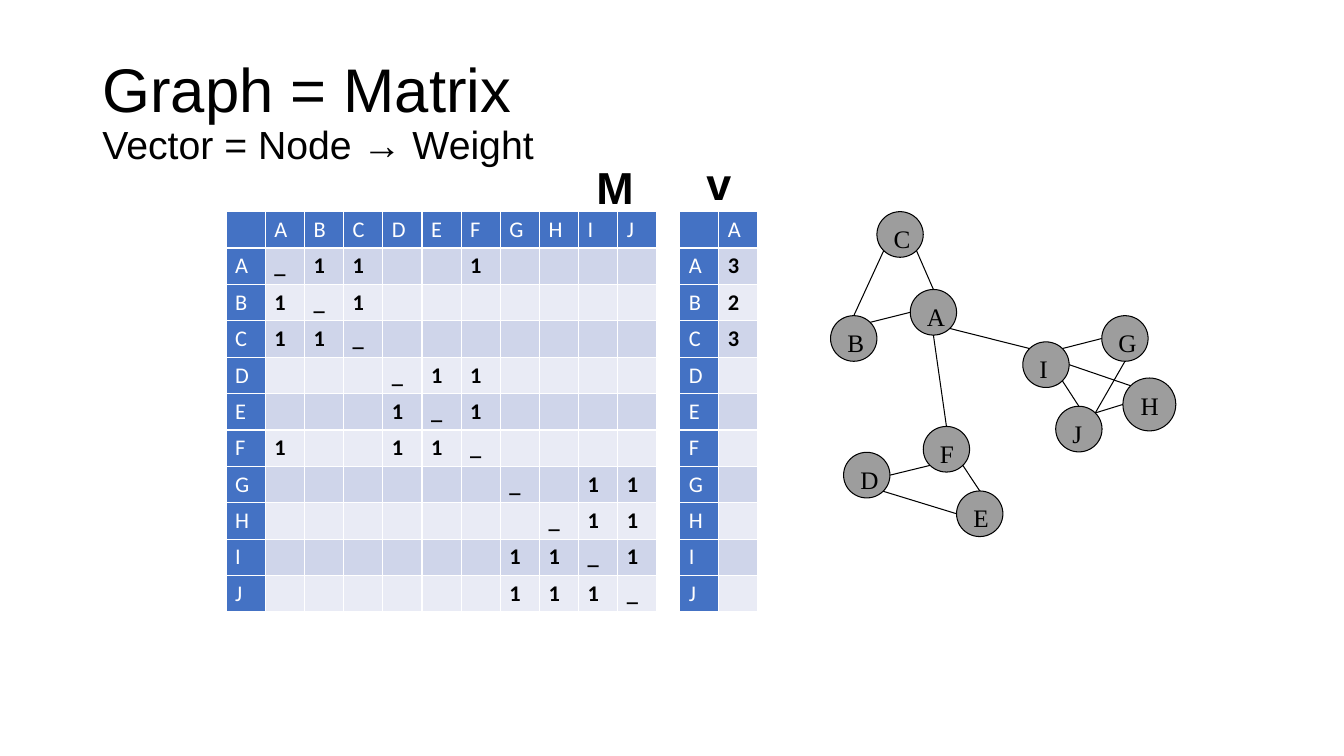
"""Build a slide showing a graph, its adjacency matrix and a node weight vector."""
from math import cos, pi, sin

from lxml.etree import SubElement
from pptx import Presentation
from pptx.dml.color import RGBColor
from pptx.enum.shapes import MSO_CONNECTOR, MSO_SHAPE
from pptx.enum.text import MSO_ANCHOR, MSO_AUTO_SIZE, PP_ALIGN
from pptx.oxml.ns import qn
from pptx.util import Pt

BLACK = RGBColor(0x00, 0x00, 0x00)
WHITE = RGBColor(0xFF, 0xFF, 0xFF)
HEADER_BLUE = RGBColor(0x44, 0x72, 0xC4)
BAND_DARK = RGBColor(0xCF, 0xD5, 0xEA)
BAND_LIGHT = RGBColor(0xE9, 0xEB, 0xF5)
NODE_GREY = RGBColor(0x9D, 0x9D, 0x9D)

NODES = "ABCDEFGHIJ"
MATRIX_ROWS = [
    "_11  1    ",
    "1_1       ",
    "11_       ",
    "   _11    ",
    "   1_1    ",
    "1  11_    ",
    "      _ 11",
    "       _11",
    "      11_1",
    "      111_",
]
VECTOR_ROWS = ["3", "2", "3"] + [" "] * 7
COLUMN_WIDTH, ROW_HEIGHT, TABLE_TOP = 28, 26, 151.2
CELL_FORMAT = {"margin_left": Pt(6.5), "margin_right": Pt(6.5),
               "margin_top": Pt(3.2), "margin_bottom": Pt(3.2)}

NODE_BOXES = {
    "A": (650.2, 206.8, 33.1, 32.6),
    "B": (593.3, 225.5, 33.1, 32.6),
    "C": (626.4, 151.2, 33.1, 32.6),
    "D": (602.6, 323.1, 33.1, 32.6),
    "E": (683.3, 350.7, 33.1, 32.6),
    "F": (659.5, 304.6, 33.1, 32.6),
    "G": (787, 225.5, 33.1, 32.6),
    "H": (802.1, 270, 37.8, 37.8),
    "I": (730.6, 244.2, 33.1, 32.6),
    "J": (754.1, 290.2, 33.1, 32.6),
}
COMPASS = ["E", "SE", "S", "SW", "W", "NW", "N", "NE"]
EDGES = [
    ("B", "N", "C", "SW"), ("A", "W", "B", "NE"), ("A", "SE", "I", "NW"),
    ("I", "E", "H", "NW"), ("G", "W", "I", "NE"), ("J", "N", "I", "SE"),
    ("D", "E", "F", "SW"), ("F", "SE", "E", "N"), ("A", "S", "F", "N"),
    ("J", "NE", "H", "W"), ("C", "SE", "A", "N"), ("D", "SE", "E", "W"),
    ("G", "S", "J", "NE"),
]


def add_text(paragraph, text, color, name, size, bold=False):
    run = paragraph.add_run()
    run.text = text
    for key, value in {"name": name, "size": Pt(size), "bold": bold}.items():
        setattr(run.font, key, value)
    run.font.color.rgb = color


def rim_point(node, direction):
    left, top, width, height = NODE_BOXES[node]
    angle = COMPASS.index(direction) * pi / 4
    return (Pt(left + width / 2 * (1 + cos(angle))),
            Pt(top + height / 2 * (1 + sin(angle))))


presentation = Presentation()
presentation.slide_width, presentation.slide_height = Pt(960), Pt(540)
slide = presentation.slides.add_slide(presentation.slide_layouts[5])
shapes = slide.shapes

title = shapes.title
for key, value in {"left": Pt(66), "top": Pt(28.8), "width": Pt(828), "height": Pt(104.4)}.items():
    setattr(title, key, value)
for key, value in {"vertical_anchor": MSO_ANCHOR.MIDDLE, "word_wrap": True,
                   "auto_size": MSO_AUTO_SIZE.NONE}.items():
    setattr(title.text_frame, key, value)
heading = title.text_frame.paragraphs[0]
heading.alignment = PP_ALIGN.LEFT
heading.line_spacing = 0.9
add_text(heading, "Graph = Matrix", BLACK, "Arial", 44)
heading.add_line_break()
add_text(heading, "Vector = Node → Weight", BLACK, "Arial", 28)

for left, column_names, value_rows in [(161.5, NODES, MATRIX_ROWS), (485.5, "A", VECTOR_ROWS)]:
    lines = [" " + column_names] + [node + row for node, row in zip(NODES, value_rows)]
    column_count = len(lines[0])
    table = shapes.add_table(len(lines), column_count, Pt(left), Pt(TABLE_TOP),
                             Pt(COLUMN_WIDTH * column_count), Pt(ROW_HEIGHT * len(lines))).table
    table.first_col = True
    for row_index, line in enumerate(lines):
        for column_index, entry in enumerate(line):
            cell = table.cell(row_index, column_index)
            for key, value in CELL_FORMAT.items():
                setattr(cell, key, value)
            is_header = row_index == 0 or column_index == 0
            band = BAND_DARK if row_index % 2 else BAND_LIGHT
            cell.fill.solid()
            cell.fill.fore_color.rgb = HEADER_BLUE if is_header else band
            paragraph = cell.text_frame.paragraphs[0]
            if entry != " ":
                add_text(paragraph, entry, WHITE if is_header else BLACK, "Calibri", 16, not is_header)
            SubElement(paragraph._p, qn("a:endParaRPr"), sz="1600")

for node, box in NODE_BOXES.items():
    circle = shapes.add_shape(MSO_SHAPE.OVAL, *map(Pt, box))
    circle.shadow.inherit = False
    circle.fill.solid()
    circle.fill.fore_color.rgb = NODE_GREY
    circle.line.color.rgb = BLACK
    circle.line.width = Pt(0.75)
    circle.text_frame.vertical_anchor = MSO_ANCHOR.TOP
    label = circle.text_frame.paragraphs[0]
    label.alignment = PP_ALIGN.LEFT
    add_text(label, node, BLACK, "Times New Roman", 18)

for start, start_side, end, end_side in EDGES:
    edge = shapes.add_connector(MSO_CONNECTOR.STRAIGHT, *rim_point(start, start_side),
                                *rim_point(end, end_side))
    edge.line.color.rgb = BLACK
    edge.line.width = Pt(0.75)
    SubElement(edge._element.spPr, qn("a:effectLst"))

for symbol, left, top, width in [("M", 419, 110.9, 40.3), ("v", 497.5, 108, 31)]:
    caption = shapes.add_textbox(Pt(left), Pt(top), Pt(width), Pt(45.4)).text_frame
    caption.word_wrap = False
    caption.auto_size = MSO_AUTO_SIZE.SHAPE_TO_FIT_TEXT
    add_text(caption.paragraphs[0], symbol, BLACK, "Arial", 32, True)

presentation.save("out.pptx")
